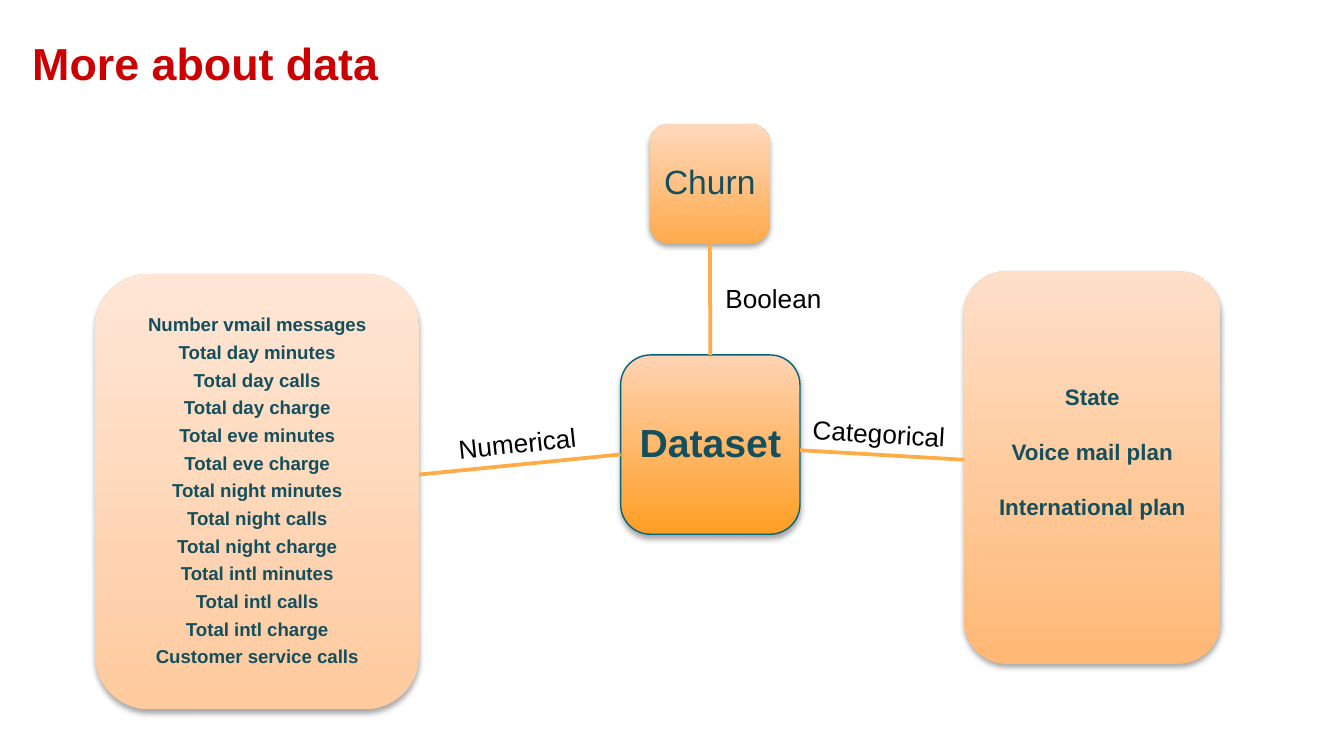
import lxml.etree
import pptx
import pptx.dml.color
import pptx.enum.shapes
import pptx.enum.text
import pptx.oxml.ns
import pptx.util

Cm = pptx.util.Cm
Pt = pptx.util.Pt
RGBColor = pptx.dml.color.RGBColor
qn = pptx.oxml.ns.qn

RED = RGBColor(0xCC, 0x00, 0x00)
BLACK = RGBColor(0x00, 0x00, 0x00)
DARK_TEAL = RGBColor(0x13, 0x4F, 0x5C)
TEAL = RGBColor(0x00, 0x64, 0x7D)
ORANGE = RGBColor(0xFF, 0xAC, 0x46)
DATASET_BOTTOM = RGBColor(0xFF, 0x9E, 0x23)
DATASET_TOP = RGBColor(0xFF, 0xD3, 0xB4)
CHURN_BOTTOM = RGBColor(0xFF, 0xAA, 0x4C)
CHURN_TOP = RGBColor(0xFF, 0xD9, 0xBD)
CATEGORICAL_BOTTOM = RGBColor(0xFF, 0xB8, 0x75)
CATEGORICAL_TOP = RGBColor(0xFF, 0xDF, 0xC9)
NUMERICAL_BOTTOM = RGBColor(0xFF, 0xCA, 0x9E)
NUMERICAL_TOP = RGBColor(0xFF, 0xE6, 0xD6)

numerical_fields = [
    "Number vmail messages",
    "Total day minutes",
    "Total day calls",
    "Total day charge",
    "Total eve minutes",
    "Total eve charge",
    "Total night minutes",
    "Total night calls",
    "Total night charge",
    "Total intl minutes",
    "Total intl calls",
    "Total intl charge",
    "Customer service calls",
]
categorical_fields = ["State", "Voice mail plan", "International plan"]


def format_text(paragraph, size, color, bold):
    for run in paragraph.runs:
        run.font.name = "Arial"
        run.font.size = Pt(size)
        run.font.bold = bold
        run.font.color.rgb = color


presentation = pptx.Presentation()
presentation.slide_width = Cm(25.4)
presentation.slide_height = Cm(14.29)
slide = presentation.slides.add_slide(presentation.slide_layouts[6])

texts = [
    ("More about data", 0.36, 0.43, 22.33, 1.32, 0, 24, RED, True),
    ("Numerical", 8.41, 7.95, 2.74, 0.86, -6, 14, BLACK, False),
    ("Categorical", 15.11, 7.77, 3.02, 0.86, 3.3, 14, BLACK, False),
    ("Boolean", 13.46, 5.21, 2.34, 0.86, 0, 14, BLACK, False),
]
for text, left, top, width, height, rotation, size, color, bold in texts:
    shape = slide.shapes.add_textbox(Cm(left), Cm(top), Cm(width), Cm(height))
    shape.rotation = rotation
    shape.text_frame.text = text
    shape.text_frame.word_wrap = bold
    if bold:
        shape.text_frame.margin_top = shape.text_frame.margin_bottom = Cm(0.25)
    format_text(shape.text_frame.paragraphs[0], size, color, bold)

boxes = [
    (["Dataset"], 11.73, 6.71, 3.39, 3.39, DATASET_BOTTOM, DATASET_TOP, 21, True, 0.15, 0.9, 8.5),
    (["Churn"], 12.28, 2.34, 2.27, 2.27, CHURN_BOTTOM, CHURN_TOP, 18, False, 0.12, 0.9, 7),
    (categorical_fields, 18.22, 5.13, 4.85, 7.42, CATEGORICAL_BOTTOM, CATEGORICAL_TOP, 12, True, 0.08, 1, 15),
    (numerical_fields, 1.8, 5.18, 6.12, 8.23, NUMERICAL_BOTTOM, NUMERICAL_TOP, 10, True, 0.08, 0.9, 4),
]
shapes = []
for lines, left, top, width, height, bottom_color, top_color, size, bold, margin, spacing, gap in boxes:
    shape = slide.shapes.add_shape(
        pptx.enum.shapes.MSO_SHAPE.ROUNDED_RECTANGLE, Cm(left), Cm(top), Cm(width), Cm(height)
    )
    shape.fill.gradient()
    shape.fill.gradient_angle = 90
    for stop, color in zip(shape.fill.gradient_stops, (bottom_color, top_color)):
        stop.color.rgb = color
    shape.line.fill.background()
    shape.shadow.inherit = False
    effects = shape._element.spPr.find(qn("a:effectLst"))
    shadow = lxml.etree.SubElement(
        effects, qn("a:outerShdw"), blurRad="39400", dist="23000", dir="5400000", rotWithShape="0"
    )
    shadow_color = lxml.etree.SubElement(shadow, qn("a:srgbClr"), val="000000")
    lxml.etree.SubElement(shadow_color, qn("a:alpha"), val="35000")
    text_frame = shape.text_frame
    text_frame.text = "\n".join(lines)
    text_frame.word_wrap = True
    text_frame.vertical_anchor = pptx.enum.text.MSO_ANCHOR.MIDDLE
    text_frame.margin_left = text_frame.margin_right = Cm(margin)
    text_frame.margin_top = text_frame.margin_bottom = Cm(margin)
    for paragraph in text_frame.paragraphs:
        paragraph.alignment = pptx.enum.text.PP_ALIGN.CENTER
        paragraph.line_spacing = spacing
        paragraph.space_after = Pt(gap)
        format_text(paragraph, size, DARK_TEAL, bold)
    shapes.append(shape)

dataset, churn, categorical, numerical = shapes
dataset.line.color.rgb = TEAL
dataset.line.width = Pt(0.75)
categorical.text_frame.margin_bottom = Cm(0.69)

links = [
    (13.42, 6.71, 13.42, 4.61),
    (15.12, 8.51, 18.22, 8.69),
    (11.73, 8.59, 7.92, 8.97),
]
connectors = []
for start_x, start_y, end_x, end_y in links:
    connector = slide.shapes.add_connector(
        pptx.enum.shapes.MSO_CONNECTOR.STRAIGHT, Cm(start_x), Cm(start_y), Cm(end_x), Cm(end_y)
    )
    connector.line.color.rgb = ORANGE
    connector.line.width = Pt(2)
    lxml.etree.SubElement(connector._element.spPr, qn("a:effectLst"))
    connectors.append(connector)
connectors[0].begin_connect(dataset, 0)
connectors[0].end_connect(churn, 2)

presentation.save("out.pptx")
